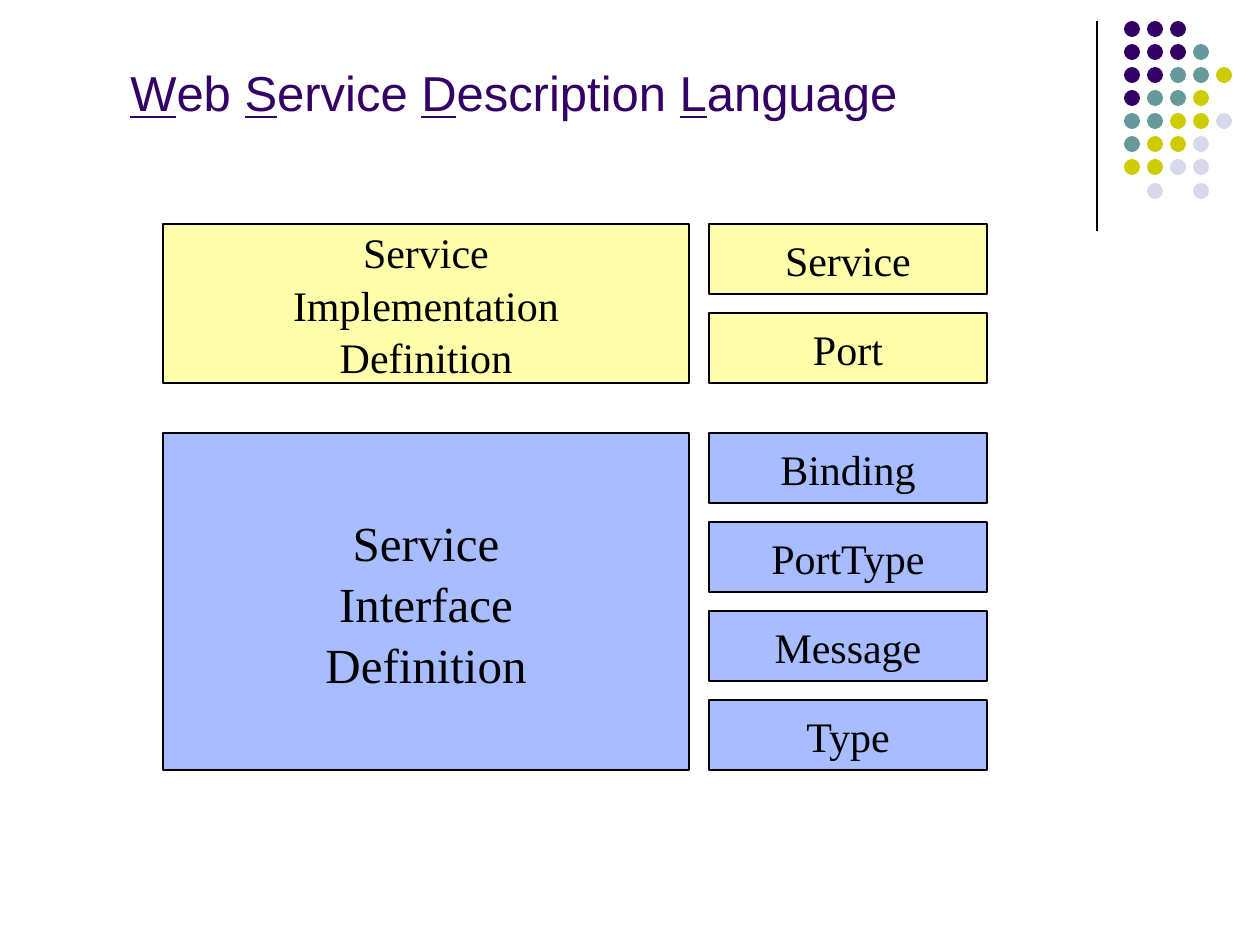
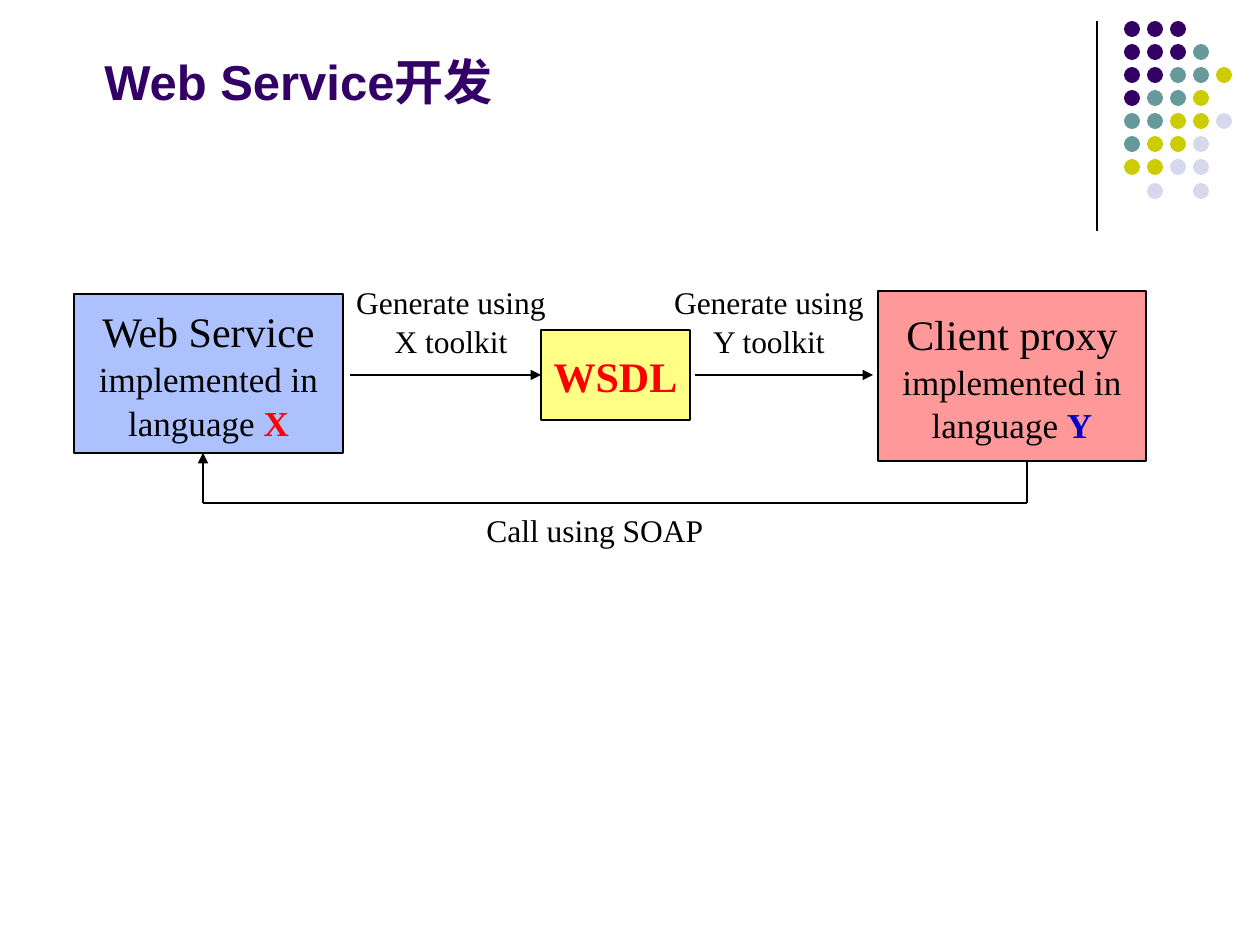
from pptx import Presentation
from pptx.dml.color import RGBColor
from pptx.enum.shapes import MSO_CONNECTOR, MSO_SHAPE
from pptx.enum.text import MSO_ANCHOR, PP_ALIGN
from pptx.oxml.ns import qn
from pptx.util import Pt
from lxml import etree

RECT, OVAL = MSO_SHAPE.RECTANGLE, MSO_SHAPE.OVAL
LINE = MSO_CONNECTOR.STRAIGHT
TOP, MIDDLE, BOTTOM = MSO_ANCHOR.TOP, MSO_ANCHOR.MIDDLE, MSO_ANCHOR.BOTTOM
LEFT, CENTER = PP_ALIGN.LEFT, PP_ALIGN.CENTER

BLACK = RGBColor(0x00, 0x00, 0x00)
RED = RGBColor(0xFF, 0x00, 0x00)
NAVY = RGBColor(0x00, 0x00, 0xCC)
BLUE = RGBColor(0x33, 0x66, 0xFF)
CREAM = RGBColor(0xFF, 0xFF, 0x99)
YELLOW = RGBColor(0xFF, 0xFF, 0x00)
PURPLE = RGBColor(0x33, 0x00, 0x66)
TEAL = RGBColor(0x66, 0x99, 0x99)
OLIVE = RGBColor(0xCC, 0xCC, 0x00)
LILAC = RGBColor(0xD8, 0xD8, 0xEC)

SERIF, SANS = "Times New Roman", "Arial"
THIN = Pt(0.75)

DOTS = ("PPP", "PPPT", "PPTTO", "PTTO", "TTOOL", "TOOL", "OOLL", " L L")
HUES = {"P": PURPLE, "T": TEAL, "O": OLIVE, "L": LILAC}


def px(*lengths):
    """Turn lengths at 126 px to the inch into EMU."""
    return [round(n * 914400 / 126) for n in lengths]


def add_run(para, text, size, color=BLACK, bold=False, under=False, face=SERIF):
    run = para.add_run()
    run.text = text
    font = run.font
    font.name, font.size, font.bold = face, Pt(size), bold
    font.underline = under
    font.color.rgb = color


def fill_text(frame, lines, align=CENTER, anchor=MIDDLE, wrap=False, pitch=1.04):
    """Write lines, each a list of runs given as add_run arguments."""
    frame.word_wrap, frame.vertical_anchor = wrap, anchor
    for i, runs in enumerate(lines):
        para = frame.add_paragraph() if i else frame.paragraphs[0]
        para.alignment, para.line_spacing = align, pitch
        for run in runs:
            add_run(para, *run)


def add_label(slide, box, text, align=CENTER):
    frame = slide.shapes.add_textbox(*px(*box)).text_frame
    fill_text(frame, [[(text, 18)]], align, TOP, True)


def add_title(slide, box, runs):
    frame = slide.shapes.add_textbox(*px(*box)).text_frame
    fill_text(frame, [runs], LEFT, BOTTOM, True, 1.0)


def add_form(slide, kind, box, color):
    form = slide.shapes.add_shape(kind, *px(*box))
    form.shadow.inherit = False
    form.fill.solid()
    form.fill.fore_color.rgb = color
    form.line.fill.background()
    return form


def add_box(slide, box, color, alpha, lines):
    """Draw an outlined rectangle whose fill has alpha percent opacity."""
    form = add_form(slide, RECT, box, color)
    tint = form.fill._xPr.find(".//" + qn("a:srgbClr"))
    etree.SubElement(tint, qn("a:alpha")).set("val", str(alpha * 1000))
    form.line.color.rgb = BLACK
    form.line.width = THIN
    fill_text(form.text_frame, lines)
    return form


def add_line(slide, ends, arrow=False):
    line = slide.shapes.add_connector(LINE, *px(*ends))
    line.line.color.rgb = BLACK
    line.line.width = THIN
    if arrow:
        tail = etree.SubElement(line.line._get_or_add_ln(), qn("a:tailEnd"))
        tail.set("type", "triangle")
    etree.SubElement(line._element.spPr, qn("a:effectLst"))
    return line


def add_corner(slide, x=1097, y=21):
    """Draw the rule and the dot grid at the top right."""
    add_line(slide, (x, y, x, y + 210))
    for row, codes in enumerate(DOTS):
        for col, code in enumerate(codes):
            if code in HUES:
                left, top = x + 27 + col * 162 // 7, y + row * 162 // 7
                add_form(slide, OVAL, (left, top, 16, 16), HUES[code])


def new_slide(deck, box, title):
    slide = deck.slides.add_slide(deck.slide_layouts[6])
    add_corner(slide)
    add_title(slide, box, title)
    return slide


def add_layer(slide, x, y, color, alpha, size, words, parts):
    """Draw a wide box beside the stack of parts it is made of."""
    step, tall = 89, 70
    high = step * (len(parts) - 1) + tall
    add_box(slide, (x, y, 526, high), color, alpha, [[(word, size)] for word in words])
    for i, part in enumerate(parts):
        add_box(slide, (x + 546, y + i * step, 278, tall), color, alpha, [[(part, 24)]])


def build_layers(deck):
    title = []
    for word in ("Web ", "Service ", "Description ", "Language"):
        title += [(word[0], 28, PURPLE, False, True, SANS),
                  (word[1:], 28, PURPLE, False, False, SANS)]
    slide = new_slide(deck, (118, 37, 982, 91), title)
    add_layer(slide, 163, 224, CREAM, 82, 24,
              ("Service", "Implementation", "Definition"), ("Service", "Port"))
    add_layer(slide, 163, 433, BLUE, 43, 28,
              ("Service", "Interface", "Definition"),
              ("Binding", "PortType", "Message", "Type"))


def add_side(slide, box, color, name, code, hue):
    """Draw one end of the exchange with its language."""
    add_box(slide, box, color, 40,
            [[(name, 24)], [("implemented in", 20)],
             [("language ", 20), (code, 20, hue, True)]])


def add_flow(slide, x, y):
    """Draw the tool chain and the call back, from the given corner."""
    add_side(slide, (x, y + 3, 269, 159), BLUE, "Web Service", "X", RED)
    wsdl = add_box(slide, (x + 467, y + 39, 149, 90), YELLOW, 48,
                   [[("WSDL", 24, RED, True)]])
    add_side(slide, (x + 804, y, 268, 170), RED, "Client proxy", "Y", NAVY)

    add_label(slide, (x + 400, y + 212, 348, 50), "Call using SOAP", LEFT)
    add_label(slide, (x + 268, y - 16, 218, 88), "Generate using X toolkit")
    add_label(slide, (x + 576, y - 16, 238, 88), "Generate using Y toolkit")

    mid, low = y + 84, y + 212
    near, far = x + 129, x + 953
    add_line(slide, (far, y + 171, far, low))
    add_line(slide, (near, low, far, low))
    add_line(slide, (near, low, near, y + 162), True)
    make = add_line(slide, (x + 276, mid, x + 467, mid), True)
    make.end_connect(wsdl, 1)
    add_line(slide, (x + 621, mid, x + 799, mid), True)


def build_flow(deck):
    title = [("Web Service开发", 28, PURPLE, True, False, SANS)]
    slide = new_slide(deck, (92, 48, 982, 68), title)
    add_flow(slide, 74, 291)


def main():
    deck = Presentation()
    deck.slide_width, deck.slide_height = px(1260, 945)
    build_layers(deck)
    build_flow(deck)
    deck.save("out.pptx")


if __name__ == "__main__":
    main()
